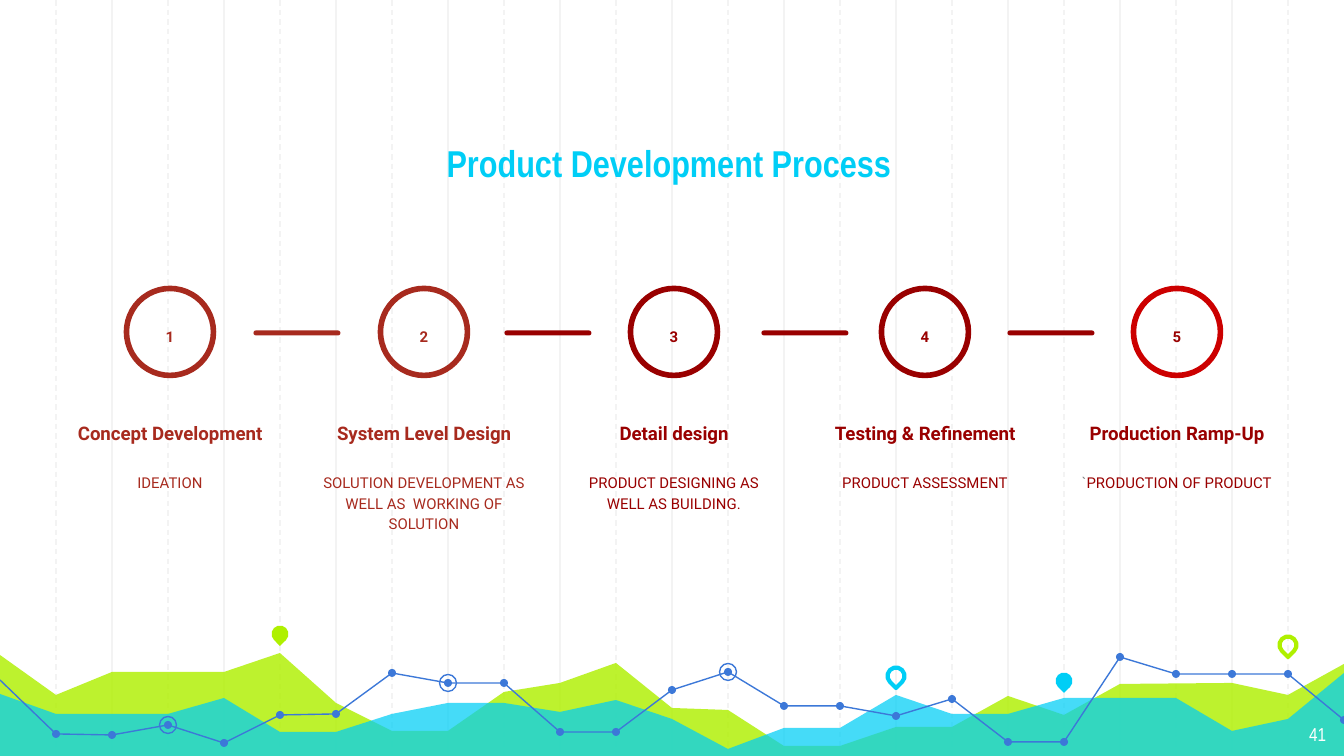
from lxml import etree
from pptx import Presentation
from pptx.dml.color import RGBColor
from pptx.enum.dml import MSO_LINE
from pptx.enum.shapes import MSO_CONNECTOR, MSO_SHAPE
from pptx.enum.text import MSO_ANCHOR, MSO_AUTO_SIZE, PP_ALIGN
from pptx.oxml.ns import qn
from pptx.util import Pt

DASH = MSO_LINE.DASH
STRAIGHT = MSO_CONNECTOR.STRAIGHT
OVAL, PIN, ROUNDED = MSO_SHAPE.OVAL, MSO_SHAPE.TEAR, MSO_SHAPE.ROUNDED_RECTANGLE
TOP, BOTTOM = MSO_ANCHOR.TOP, MSO_ANCHOR.BOTTOM
CENTER, RIGHT = PP_ALIGN.CENTER, PP_ALIGN.RIGHT
FIXED = MSO_AUTO_SIZE.NONE

PX = 914400 / 134.4
WIDTH, HEIGHT = 1344, 756
COLUMN = 56
FLOOR = 759
INSET = 13

CYAN, LIME, BLUE, PALE = "00CEF6", "AFF000", "3C78D8", "F3F3F3"
BRICK, MAROON, RED, GREY, WHITE = "A72A1E", "990000", "CC0000", "858585", "FFFFFF"

TITLE = "Product Development Process"
PAGE = "41"
STEPS = [
    (170, "Concept Development", [("IDEATION", BRICK)], BRICK, BRICK),
    (424, "System Level Design",
     [("SOLUTION DEVELOPMENT AS WELL AS  WORKING OF SOLUTION", BRICK)], BRICK, BRICK),
    (674, "Detail design",
     [("PRODUCT DESIGNING AS WELL AS BUILDING.", MAROON)], MAROON, MAROON),
    (925, "Testing & Refinement", [("PRODUCT ASSESSMENT", MAROON)], MAROON, MAROON),
    (1177, "Production Ramp-Up",
     [("`", GREY), ("PRODUCTION OF PRODUCT", MAROON)], MAROON, RED),
]
BARS = [(254, BRICK), (505, MAROON), (762, MAROON), (1008, MAROON)]

GREEN_HILLS = [(0, 655), (1, 695), (2, 672), (4, 672), (5, 653), (6, 703), (7, 731),
               (8, 731), (9, 692), (10, 683), (11, 663), (12, 708), (13, 710),
               (14, 746), (15, 746), (16, 727), (17, 727), (18, 696), (19, 715),
               (20, 684), (22, 683), (23, 695), (24, 664)]
CYAN_HILLS = [(0, 694), (1, 714), (3, 714), (4, 698), (5, 732), (6, 732), (7, 714),
              (8, 703), (9, 703), (10, 712), (11, 700), (12, 719), (13, 749),
              (14, 728), (15, 728), (16, 695), (17, 714), (18, 714), (19, 698),
              (21, 698), (22, 731), (23, 719), (24, 673)]
TREND = [680, 734, 735, 725, 743, 715, 714, 673, 683, 683, 732, 732, 690,
         672, 706, 706, 716, 699, 742, 742, 657, 674, 674, 674, 720]
TREND_PARTS = [(0, 11), (11, 20), (20, 24)]
RINGED_COLUMNS = [8, 3, 13]
PINS = [(5, 634, LIME, True), (16, 676, CYAN, False),
        (19, 681, CYAN, True), (23, 645, LIME, False)]


def px(length):
    return round(length * PX)


def rgb(color):
    return RGBColor.from_string(color)


def paint(shape, fill=None, line=None, weight=0.75, opacity=None):
    shape.shadow.inherit = False
    if fill:
        shape.fill.solid()
        shape.fill.fore_color.rgb = rgb(fill)
        if opacity:
            tint = shape.fill._xPr.find(".//" + qn("a:srgbClr"))
            etree.SubElement(tint, qn("a:alpha")).set("val", str(opacity * 1000))
    else:
        shape.fill.background()
    if line:
        shape.line.color.rgb = rgb(line)
        shape.line.width = Pt(weight)
    else:
        shape.line.fill.background()


def add_centered(kind, x, y, width, height, **look):
    shape = slide.shapes.add_shape(
        kind, px(x - width / 2), px(y - height / 2), px(width), px(height))
    paint(shape, **look)
    return shape


def add_outline(points, close, **look):
    builder = slide.shapes.build_freeform(*points[0], scale=PX)
    builder.add_line_segments(points[1:], close=close)
    paint(builder.convert_to_shape(), **look)


def write(holder, runs, size, font="Roboto", bold=False, align=CENTER,
          anchor=TOP, spacing=None, after=0):
    frame = holder.text_frame
    frame.word_wrap = True
    frame.auto_size = FIXED
    frame.vertical_anchor = anchor
    frame.margin_left = frame.margin_right = px(INSET)
    frame.margin_top = frame.margin_bottom = px(INSET)
    paragraph = frame.paragraphs[0]
    paragraph.alignment = align
    paragraph.line_spacing = spacing
    paragraph.space_before = Pt(0)
    paragraph.space_after = Pt(after)
    for text, color in runs:
        run = paragraph.add_run()
        run.text = text
        run.font.name = font
        run.font.size = Pt(size)
        run.font.bold = bold
        run.font.color.rgb = rgb(color)


def add_text(runs, left, top, width, height, **style):
    box = slide.shapes.add_textbox(px(left), px(top), px(width), px(height))
    write(box, runs, **style)


deck = Presentation()
deck.slide_width, deck.slide_height = px(WIDTH), px(HEIGHT)
slide = deck.slides.add_slide(deck.slide_layouts[5])

for column in [*range(2, 24, 2), *range(1, 24, 2)]:
    x = px(column * COLUMN)
    guide = slide.shapes.add_connector(STRAIGHT, x, 0, x, px(FLOOR))
    guide.line.color.rgb = rgb(PALE)
    guide.line.width = Pt(0.75)
    if column % 2:
        guide.line.dash_style = DASH
    etree.SubElement(guide._element.spPr, qn("a:effectLst"))

for hills, color, opacity in [(GREEN_HILLS, LIME, 82), (CYAN_HILLS, CYAN, 73)]:
    ridge = [(column * COLUMN, y) for column, y in hills]
    add_outline(ridge + [(WIDTH, FLOOR), (0, FLOOR)], True, fill=color, opacity=opacity)

trend_points = [(column * COLUMN, y) for column, y in enumerate(TREND)]
for first, last in TREND_PARTS:
    add_outline(trend_points[first:last + 1], False, line=BLUE)
for x, y in trend_points[1:]:
    add_centered(OVAL, x, y, 8, 8, fill=BLUE)
for column in RINGED_COLUMNS:
    add_centered(OVAL, *trend_points[column], 17, 17, line=BLUE)

for column, y, color, solid in PINS:
    look = {"fill": color} if solid else {"line": color, "weight": 2.25}
    add_centered(PIN, column * COLUMN, y, 17, 17, **look).rotation = 135

title = slide.shapes.title
title.left, title.top, title.width, title.height = px(155), px(93), px(1028), px(105)
write(title, [(TITLE, CYAN)], size=20, font="Arial Narrow", bold=True, anchor=BOTTOM)
title.element.getparent().append(title.element)
add_text([(PAGE, WHITE)], 1258, 710, 81, 47, size=10, font="Arial Narrow", align=RIGHT)

for left, color in BARS:
    bar = add_centered(ROUNDED, left + 43, 333, 87, 5, fill=color)
    bar.adjustments[0] = 0.5

for number, (x, heading, detail, color, ring) in enumerate(STEPS, 1):
    add_centered(OVAL, x, 332, 87, 87, line=ring, weight=3)
    add_text([(str(number), color)], x - 32, 312, 64, 47,
             size=8, bold=True, spacing=1.15, after=16)
    add_text([(heading, color)], x - 114, 391, 228, 66,
             size=10, bold=True, anchor=BOTTOM, spacing=1.15)
    add_text(detail, x - 114, 458, 228, 109, size=8, spacing=1.15, after=16)

deck.save("out.pptx")
